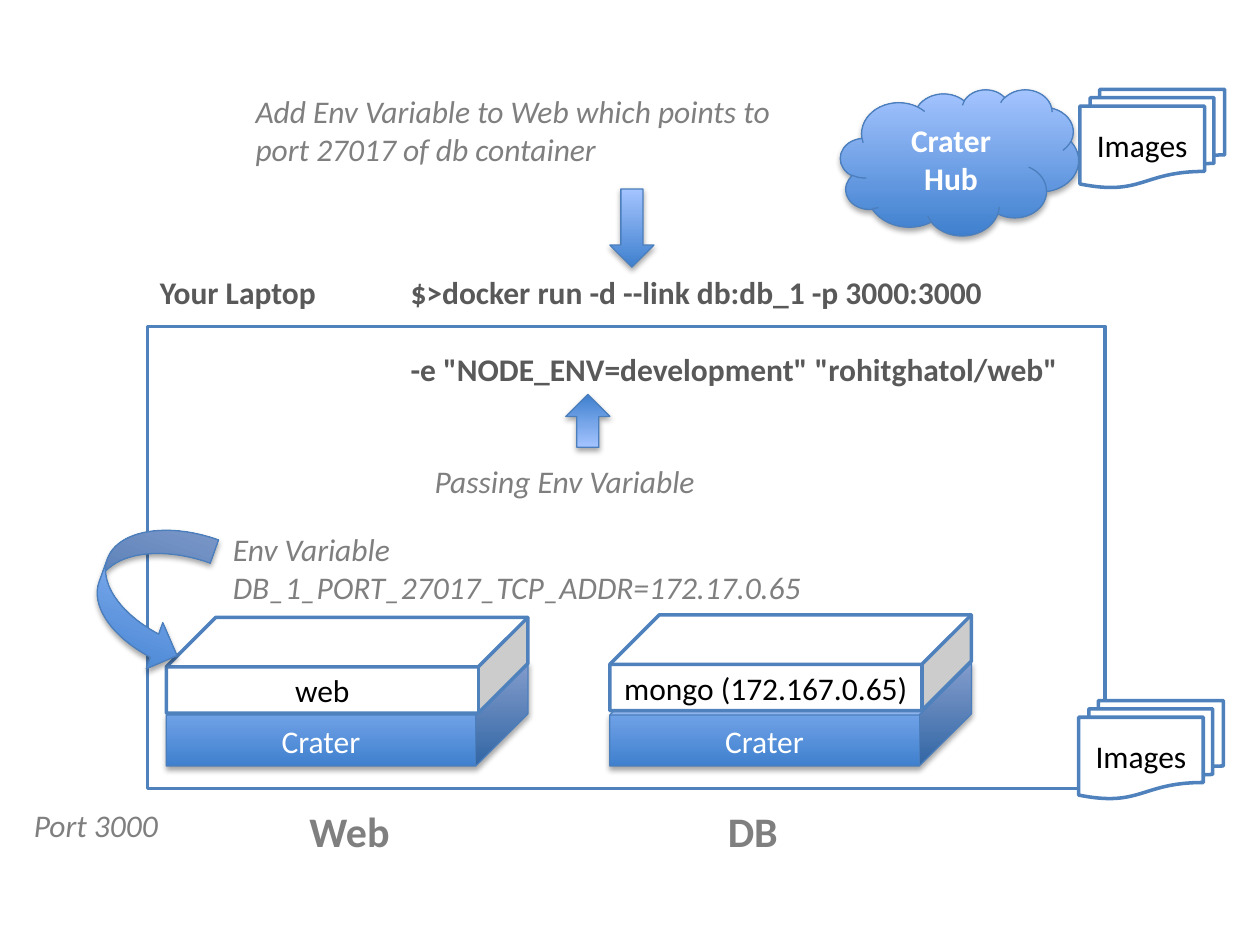
"""Build a slide showing a web container linked to a database container on a laptop."""
import dataclasses

import lxml.etree
import pptx
import pptx.dml.color
import pptx.enum.shapes
import pptx.enum.text
import pptx.oxml
import pptx.oxml.ns
import pptx.util


@dataclasses.dataclass(frozen=True)
class Theme:
    font: str = "Calibri"
    body: int = 18
    heading: int = 24
    white: str = "FFFFFF"
    black: str = "000000"
    strong: str = "595959"
    muted: str = "7F7F7F"
    outline: str = "4F81BD"
    edge: str = "4B7EBC"
    gradient: tuple = ("3F80CE", "A4C4FF")


theme = Theme()
color = pptx.dml.color.RGBColor.from_string
kinds = pptx.enum.shapes.MSO_SHAPE
align = pptx.enum.text.PP_ALIGN

presentation = pptx.Presentation()
presentation.slide_width = pptx.util.Inches(10)
presentation.slide_height = pptx.util.Inches(7.5)
slide = presentation.slides.add_slide(presentation.slide_layouts[6])
column = presentation.slide_width / 100
row = presentation.slide_height / 75


def write(shape, lines, ink, size=theme.body, bold=False, italic=False, alignment=align.LEFT):
    frame = shape.text_frame
    frame.word_wrap = True
    frame.text = "\n".join(lines)
    for index, paragraph in enumerate(frame.paragraphs):
        paragraph.alignment = alignment
        if index:
            paragraph.space_before = pptx.util.Pt(22)
        paragraph.font.name = theme.font
        paragraph.font.size = pptx.util.Pt(size)
        paragraph.font.bold = bold
        paragraph.font.italic = italic
        paragraph.font.color.rgb = color(ink)


def add_block(kind, left, top, width, height, text="", glossy=False, bold=False):
    shape = slide.shapes.add_shape(
        kind, round(left * column), round(top * row), round(width * column), round(height * row)
    )
    shape.shadow.inherit = False
    if glossy:
        shape.fill.gradient()
        shape.fill.gradient_angle = 90
        for stop, shade in zip(shape.fill.gradient_stops, theme.gradient):
            stop.color.rgb = color(shade)
        effects = shape._element.spPr.find(pptx.oxml.ns.qn("a:effectLst"))
        shadow = lxml.etree.SubElement(
            effects, pptx.oxml.ns.qn("a:outerShdw"),
            blurRad="40000", dist="23000", dir="5400000", rotWithShape="0",
        )
        shade = lxml.etree.SubElement(shadow, pptx.oxml.ns.qn("a:srgbClr"), val=theme.black)
        lxml.etree.SubElement(shade, pptx.oxml.ns.qn("a:alpha"), val="35000")
    else:
        shape.fill.solid()
        shape.fill.fore_color.rgb = color(theme.white)
    shape.line.color.rgb = color(theme.edge if glossy else theme.outline)
    shape.line.width = pptx.util.Pt(0.75 if glossy else 2)
    if text:
        shape.text_frame.vertical_anchor = pptx.enum.text.MSO_ANCHOR.MIDDLE
        ink = theme.white if glossy else theme.black
        write(shape, [text], ink, bold=bold, alignment=align.CENTER)
    return shape


add_block(kinds.RECTANGLE, 11.7, 25.9, 76, 36.7)
add_block(kinds.CLOUD, 66.7, 7.1, 18.9, 11.6, "Crater Hub", glossy=True, bold=True)
for left, top in ((85.7, 7.1), (85.6, 55.6)):
    add_block(kinds.FLOWCHART_MULTIDOCUMENT, left, top, 11.5, 7.8, "Images")

for left, top, container in ((48.4, 48.8, "mongo (172.167.0.65)"), (13.2, 49, "web")):
    engine = add_block(kinds.CUBE, left, 52.6, 28.7, 8.2, "Crater", glossy=True)
    engine.adjustments[0] = 0.506
    layer = add_block(kinds.CUBE, left, top, 28.7, 7.6, container)
    layer.adjustments[0] = 0.518

for kind, left, top, width, height, rotation in (
    (kinds.DOWN_ARROW, 48.4, 15, 3.5, 6.2, 0),
    (kinds.DOWN_ARROW, 44.9, 31.3, 3.5, 4.2, 180),
    (kinds.CURVED_RIGHT_ARROW, 7.8, 41.2, 7.8, 11.7, 19.7),
):
    arrow = add_block(kind, left, top, width, height, glossy=True)
    arrow.rotation = rotation

strong = dict(ink=theme.strong, bold=True)
note = dict(ink=theme.muted, italic=True)
caption = dict(ink=theme.muted, size=theme.heading, bold=True, alignment=align.CENTER)
command = [
    "$>docker run -d --link db:db_1 -p 3000:3000",
    '-e "NODE_ENV=development" "rohitghatol/web"',
]
for left, top, width, height, lines, style in (
    (11.7, 21.2, 27.9, 4, ["Your Laptop"], strong),
    (31.6, 21.2, 65.5, 10.1, command, strong),
    (19.3, 6.8, 46.6, 7.1,
     ["Add Env Variable to Web which points to port 27017 of db container"], note),
    (33.5, 36.2, 30.5, 4, ["Passing Env Variable"], note),
    (17.5, 41.6, 59.6, 7.1, ["Env Variable DB_1_PORT_27017_TCP_ADDR=172.17.0.65"], note),
    (1.7, 63.5, 17.6, 4, ["Port 3000"], note),
    (22.1, 63.4, 11.3, 5, ["Web"], caption),
    (54.1, 63.4, 11.3, 5, ["DB"], caption),
):
    label = slide.shapes.add_textbox(
        round(left * column), round(top * row), round(width * column), round(height * row)
    )
    write(label, lines, **style)

presentation.save("out.pptx")
